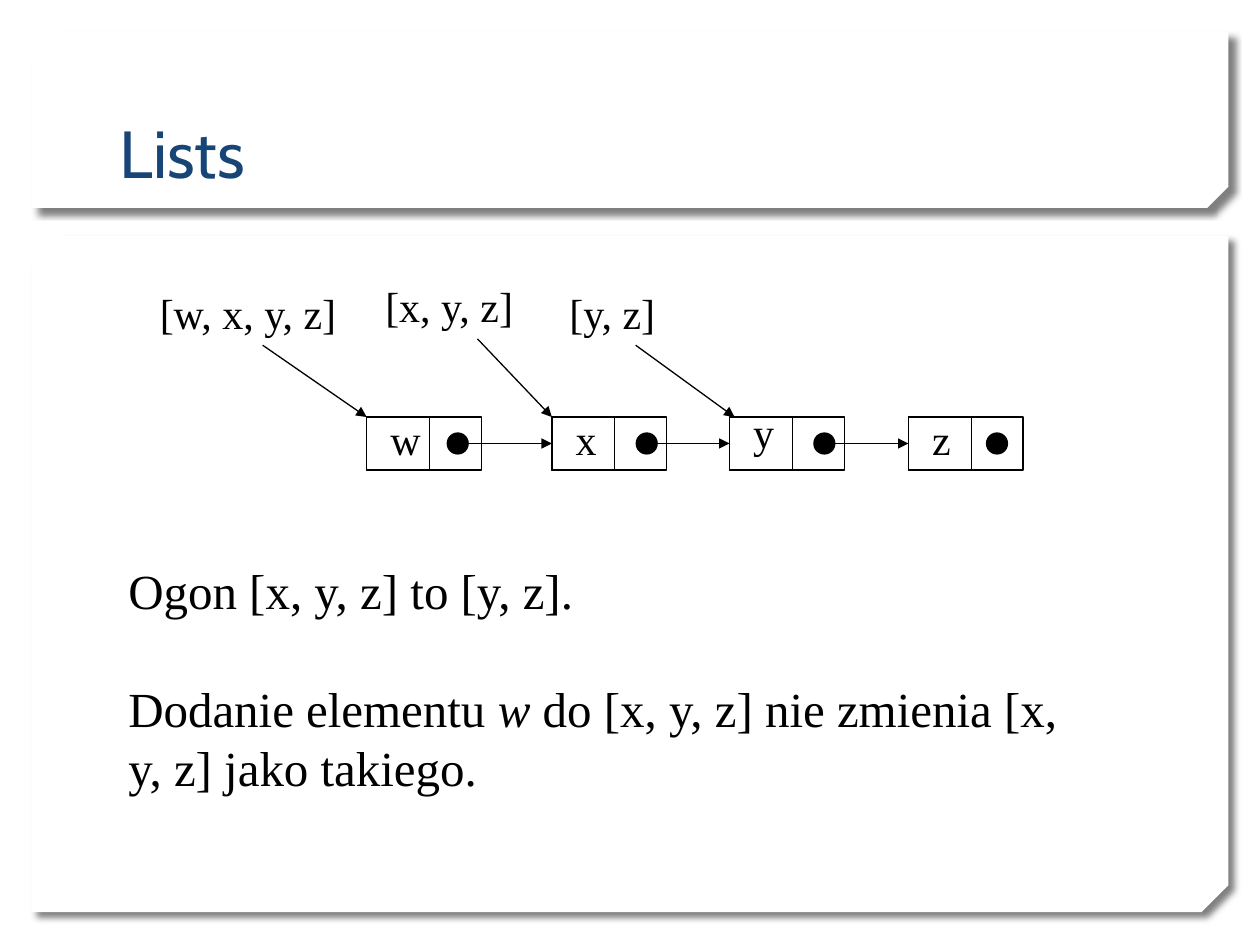
from lxml.etree import SubElement
from pptx import Presentation
from pptx.dml.color import RGBColor
from pptx.enum.shapes import MSO_CONNECTOR as Link, MSO_SHAPE as Shape
from pptx.enum.text import MSO_ANCHOR as Anchor, PP_ALIGN as Align
from pptx.oxml import parse_xml
from pptx.oxml.ns import nsdecls, qn
from pptx.util import Inches, Pt

COLORS = {"ink": "000000", "title": "174576", "panel": "FFFFFF"}
SERIF, SANS = "Times New Roman", "Cabin"
BOTTOM, LEFT = 2, 1  # connection sites of a rectangle

# The slide is a grid of 100 columns and 75 rows; boxes are left, top, width, height
COLUMNS = 100
SLIDE_WIDTH, SLIDE_HEIGHT = Inches(10), Inches(7.5)
UNIT = SLIDE_WIDTH // COLUMNS

HEADER_BOX = (2.5, 2.5, 95, 14)
CONTENT_BOX = (2.5, 18.7, 95, 53.7)
TITLE_BOX = (8.5, 3.2, 82.9, 12.5)
DIAGRAM_BOX = (11.7, 21.8, 69.5, 15.7)
BODY_BOX = (9.2, 44, 76.7, 19.9)

NODE_WIDTH, NODE_HEIGHT, CELL_WIDTH, NODE_TOP = 9.1, 4.2, 5, 11.3
DOT_SIZE = 1.66
# letter: node left, letter top, dot left within the node
NODES = {
    "w": (17.4, 10.5, 6.4),
    "x": (32.1, 10.5, 6.7),
    "y": (46.2, 10, 6.7),
    "z": (60.4, 10.5, 6.2),
}
# label: left, top, width, node pointed at, shift of the arrow tip
POINTERS = {
    "[w, x, y, z]": (0, 0.5, 18.3, "w", 0),
    "[x, y, z]": (17.9, 0, 16.6, "x", 0),
    "[y, z]": (32.5, 0.5, 12.5, "y", 0.4),
}
# Paragraphs as (text, italic) runs
BODY = [
    [("Ogon [x, y, z] to [y, z].", False)],
    [("Dodanie elementu ", False), ("w", True),
     (" do [x, y, z] nie zmienia [x, y, z] jako takiego.", False)],
]


def scale(*values):
    return [round(value * UNIT) for value in values]


def color(name):
    return RGBColor.from_string(COLORS[name])


def add_run(para, text, size, font=SERIF, ink="ink", italic=False):
    span = para.add_run()
    span.text = text
    span.font.name, span.font.size = font, Pt(size)
    span.font.italic = italic
    span.font.color.rgb = color(ink)


def add_label(page, box, text):
    label = page.shapes.add_textbox(*scale(*box))
    label.text_frame.word_wrap = True
    add_run(label.text_frame.paragraphs[0], text, 24)
    return label


def add_outline(page, kind, box, fill=None):
    shape = page.shapes.add_shape(kind, *scale(*box))
    shape.shadow.inherit = False
    if fill:
        shape.fill.solid()
        shape.fill.fore_color.rgb = color(fill)
    else:
        shape.fill.background()
    shape.line.color.rgb = color("ink")
    shape.line.width = Pt(0.75)
    return shape


def add_arrow(page, start, end):
    arrow = page.shapes.add_connector(Link.STRAIGHT, *scale(*start, *end))
    arrow.line.color.rgb = color("ink")
    arrow.line.width = Pt(0.75)
    SubElement(arrow.line._get_or_add_ln(), qn("a:tailEnd"), type="triangle")
    SubElement(arrow._element.spPr, qn("a:effectLst"))
    return arrow


def add_panel(page, box, snip):
    """White card with a snipped lower right corner and a soft shadow."""
    panel = page.shapes.add_shape(Shape.SNIP_2_DIAG_RECTANGLE, *scale(*box))
    panel.adjustments[0], panel.adjustments[1] = 0, snip
    panel.fill.solid()
    panel.fill.fore_color.rgb = color("panel")
    panel.line.fill.background()
    properties = panel._element.spPr
    properties.find(qn("a:xfrm")).set("flipV", "1")
    properties.append(parse_xml(
        f'<a:effectLst {nsdecls("a")}><a:outerShdw blurRad="{Pt(4)}" dist="{Pt(5)}"'
        f' dir="2700000" algn="tl" rotWithShape="0"><a:srgbClr val="{COLORS["ink"]}">'
        '<a:alpha val="50000"/></a:srgbClr></a:outerShdw></a:effectLst>'))


def add_title(page, box, text):
    title = page.shapes.title
    title.left, title.top, title.width, title.height = scale(*box)
    page.shapes._spTree.append(title._element)  # in front of the panels
    title.text_frame.vertical_anchor = Anchor.BOTTOM
    para = title.text_frame.paragraphs[0]
    para.alignment = Align.LEFT
    add_run(para, text, 38, SANS, "title")


def add_diagram(page, box):
    """Linked list with a pointer to each of its tails."""
    left, top = box[:2]
    node_top = top + NODE_TOP
    middle = node_top + NODE_HEIGHT / 2
    previous_dot = None

    # Nodes, each linked from the one before
    for letter, (offset, letter_top, dot_offset) in NODES.items():
        node_left = left + offset
        node = add_outline(page, Shape.RECTANGLE,
                           (node_left, node_top, NODE_WIDTH, NODE_HEIGHT))
        add_outline(page, Shape.RECTANGLE, (node_left, node_top, CELL_WIDTH, NODE_HEIGHT))
        add_label(page, (node_left + 0.9, top + letter_top, CELL_WIDTH, 5.2), letter)
        dot_left = node_left + dot_offset
        add_outline(page, Shape.OVAL,
                    (dot_left, middle - DOT_SIZE / 2, DOT_SIZE, DOT_SIZE), "ink")
        if previous_dot is not None:
            add_arrow(page, (previous_dot, middle), (node_left, middle)).end_connect(node, LEFT)
        previous_dot = dot_left + DOT_SIZE / 2

    # Labels pointing at the upper left corners of the nodes
    for text, (offset, label_top, width, target, shift) in POINTERS.items():
        label_box = (left + offset, top + label_top, width, 5.1)
        label = add_label(page, label_box, text)
        start = (left + offset + width / 2, top + label_top + 5.1)
        tip = (left + NODES[target][0] + shift, node_top)
        add_arrow(page, start, tip).begin_connect(label, BOTTOM)


def add_body(page, box):
    frame = page.shapes.add_textbox(*scale(*box)).text_frame
    frame.word_wrap = True
    for index, runs in enumerate(BODY):
        para = frame.add_paragraph() if index else frame.paragraphs[0]
        para.space_before = Pt(34 if index else 0)
        for text, italic in runs:
            add_run(para, text, 28, italic=italic)


def main():
    deck = Presentation()
    deck.slide_width, deck.slide_height = SLIDE_WIDTH, SLIDE_HEIGHT
    page = deck.slides.add_slide(deck.slide_layouts[5])
    add_panel(page, CONTENT_BOX, 0.04)
    add_panel(page, HEADER_BOX, 0.12)
    add_title(page, TITLE_BOX, "Lists")
    add_diagram(page, DIAGRAM_BOX)
    add_body(page, BODY_BOX)
    deck.save("out.pptx")


if __name__ == "__main__":
    main()
